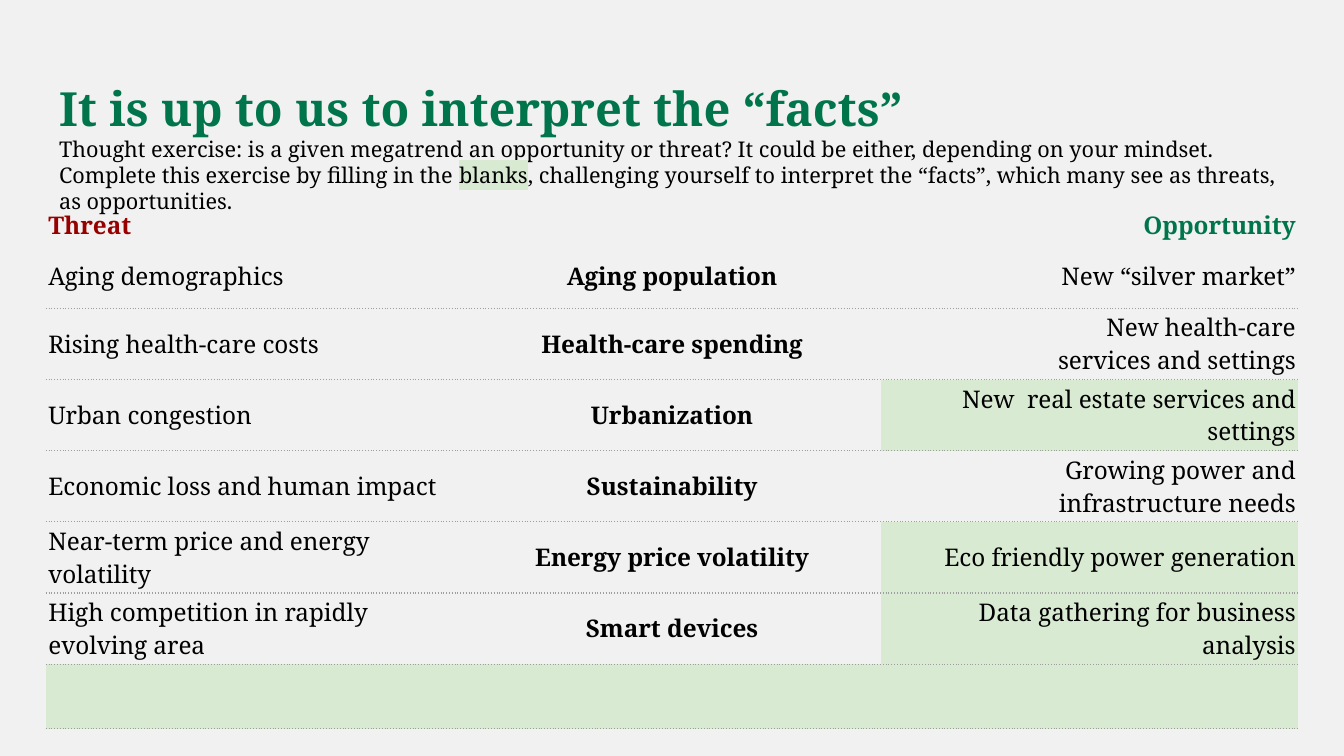
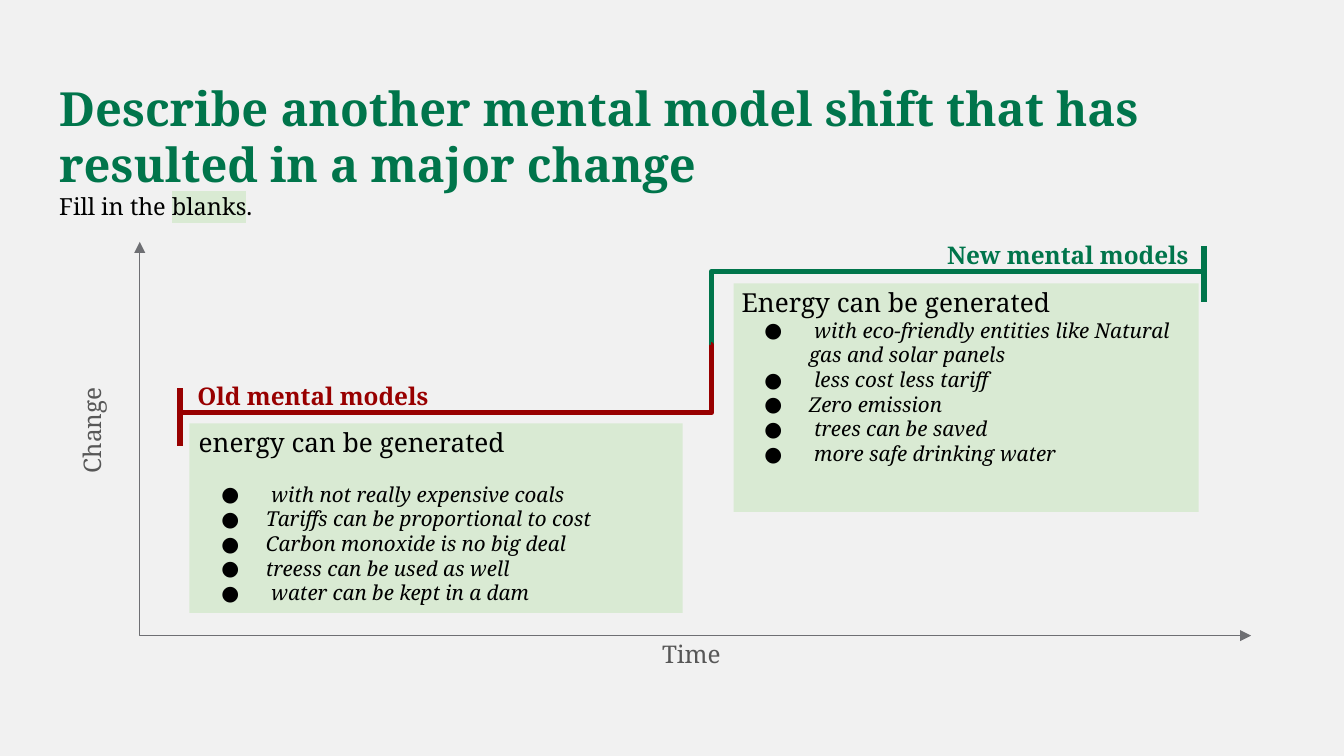
from lxml import etree
from pptx import Presentation
from pptx.dml.color import RGBColor
from pptx.enum.shapes import MSO_CONNECTOR, MSO_SHAPE
from pptx.enum.text import MSO_ANCHOR, PP_ALIGN
from pptx.oxml.ns import qn
from pptx.util import Inches, Pt

LEFT, CENTER, RIGHT = PP_ALIGN.LEFT, PP_ALIGN.CENTER, PP_ALIGN.RIGHT
TOP, MIDDLE = MSO_ANCHOR.TOP, MSO_ANCHOR.MIDDLE
STRAIGHT, ELBOW = MSO_CONNECTOR.STRAIGHT, MSO_CONNECTOR.ELBOW
RECTANGLE = MSO_SHAPE.RECTANGLE

FONT = "Noto Serif"
COLORS = {
    "background": "F1F1F1",
    "opportunity": "00754B",
    "threat": "980000",
    "blank": "D9EAD3",
    "text": "000000",
    "axis": "6E6F73",
    "axis_label": "575757",
    "rule": "9E9E9E",
}
RGB = {role: RGBColor.from_string(value) for role, value in COLORS.items()}
LABEL_SPACING = 0.96


def add_xml(parent, tag, **attributes):
    """Append a DrawingML child to parent and return it."""
    return etree.SubElement(parent, qn("a:" + tag), attributes)


def write(paragraph, parts, size, color="text", spacing=1.0, align=LEFT, **style):
    """Fill a paragraph with runs; parts are (text, is_highlighted) pairs."""
    paragraph.alignment = align
    paragraph.line_spacing = spacing
    paragraph.space_before = Pt(0)
    font_values = {"name": FONT, "size": Pt(size), "bold": False, **style}
    for text, highlighted in parts:
        run = paragraph.add_run()
        run.text = text
        run.font.color.rgb = RGB[color]
        if highlighted:
            highlight = add_xml(run.font._element, "highlight")
            add_xml(highlight, "srgbClr", val=COLORS["blank"])
        for attribute, value in font_values.items():
            setattr(run.font, attribute, value)


prs = Presentation()
prs.slide_width, prs.slide_height = Inches(10), Inches(10 * 9 / 16)
master_fill = prs.slide_master.background.fill
master_fill.solid()
master_fill.fore_color.rgb = RGB["background"]

# Shared heading: a title with an instruction beneath it
HEADINGS = [
    ("It is up to us to interpret the “facts”", 11.6, [
        ("Thought exercise: is a given megatrend an opportunity or threat? It could be "
         "either, depending on your mindset. Complete this exercise by filling in the ", False),
        ("blanks", True),
        (", challenging yourself to interpret the “facts”, which many see as threats, "
         "as opportunities.", False),
    ]),
    ("Describe another mental model shift that has resulted in a major change", 12.6, [
        ("Fill in the ", False), ("blanks", True), (".", False),
    ]),
]
slides = []
for heading, instruction_size, instruction in HEADINGS:
    slide = prs.slides.add_slide(prs.slide_layouts[5])
    slides.append(slide)
    title = slide.shapes.title
    title.left, title.top = Inches(0.34), Inches(0.49)
    title.width, title.height = Inches(9.32), Inches(0.63)
    frame = title.text_frame
    frame.word_wrap, frame.vertical_anchor = True, TOP
    frame.margin_left = frame.margin_right = Inches(0.1)
    frame.margin_top = frame.margin_bottom = Inches(0.1)
    write(frame.paragraphs[0], [(heading, False)], 25.2, "opportunity", bold=True)
    write(frame.add_paragraph(), instruction, instruction_size)
facts_slide, shift_slide = slides

# Slide 1: megatrends as threat or opportunity
TRENDS = [
    ("Threat", "", "Opportunity"),
    ("Aging demographics", "Aging population", "New “silver market”"),
    ("Rising health-care costs", "Health-care spending",
     "New health-care\nservices and settings"),
    ("Urban congestion", "Urbanization", "New  real estate services and settings"),
    ("Economic loss and human impact", "Sustainability",
     "Growing power and\ninfrastructure needs"),
    ("Near-term price and energy volatility", "Energy price volatility",
     "Eco friendly power generation"),
    ("High competition in rapidly evolving area", "Smart devices",
     "Data gathering for business analysis"),
    ("", "", ""),
]
LAST_ROW = len(TRENDS) - 1
BLANK_OPPORTUNITIES = (3, 5, 6)
ALIGNMENTS = (LEFT, CENTER, RIGHT)
HEADER_COLORS = ("threat", "text", "opportunity")

trends = facts_slide.shapes.add_table(
    len(TRENDS), 3, Inches(0.34), Inches(1.53), Inches(9.32), Inches(3.66)).table
trends.first_row = trends.horz_banding = False
for column in trends.columns:
    column.width = Inches(9.32 / 3)
for row_index, row_texts in enumerate(TRENDS):
    is_header = row_index == 0
    trends.rows[row_index].height = Inches(0.27 if is_header else 0.48)
    for column_index, text in enumerate(row_texts):
        cell = trends.cell(row_index, column_index)
        cell.vertical_anchor = MIDDLE
        cell.margin_left = cell.margin_right = Inches(0.02)
        cell.margin_top = cell.margin_bottom = Inches(0.02)

        ruled = {"lnL": False, "lnR": False, "lnT": row_index > 1, "lnB": not is_header}
        for side, has_rule in ruled.items():
            border = add_xml(cell._tc.get_or_add_tcPr(), side, w=str(Pt(0.75)))
            if has_rule:
                add_xml(add_xml(border, "solidFill"), "srgbClr", val=COLORS["rule"])
                add_xml(border, "prstDash", val="dot")
            else:
                add_xml(border, "noFill")

        if row_index == LAST_ROW or (column_index == 2 and row_index in BLANK_OPPORTUNITIES):
            cell.fill.solid()
            cell.fill.fore_color.rgb = RGB["blank"]
        else:
            cell.fill.background()

        if not text:
            add_xml(cell.text_frame.paragraphs[0]._p, "endParaRPr", sz="1300")
            continue
        for line_index, line in enumerate(text.split("\n")):
            paragraph = (cell.text_frame.add_paragraph() if line_index
                         else cell.text_frame.paragraphs[0])
            write(paragraph, [(line, False)], 13,
                  HEADER_COLORS[column_index] if is_header else "text",
                  align=ALIGNMENTS[column_index], bold=is_header or column_index == 1)

# Slide 2: the step from old to new mental models
shapes = shift_slide.shapes
for box in ((1.41, 3.15, 3.67, 1.41), (5.46, 2.11, 3.46, 1.7)):
    panel = shapes.add_shape(RECTANGLE, *map(Inches, box))
    panel.shadow.inherit = False
    panel.fill.solid()
    panel.fill.fore_color.rgb = RGB["blank"]
    panel.line.fill.background()

axes_path = shapes.build_freeform(Inches(1.04), Inches(1.8))
axes_path.add_line_segments(
    [(Inches(1.04), Inches(4.73)), (Inches(9.31), Inches(4.73))], close=False)
axes = axes_path.convert_to_shape()
axes.shadow.inherit = False
axes.fill.background()
axes.line.color.rgb = RGB["axis"]
axes.line.width = Pt(0.75)
for arrow_end in ("headEnd", "tailEnd"):
    add_xml(axes.line._get_or_add_ln(), arrow_end, type="triangle")

# kind, start and end, colour, bend position in 1/100000 of the width
STEPS = [
    (STRAIGHT, (8.96, 1.83, 8.96, 2.25), "opportunity", None),
    (STRAIGHT, (1.34, 2.89, 1.34, 3.32), "threat", None),
    (ELBOW, (5.29, 2.63, 8.96, 2.02), "opportunity", 100),
    (ELBOW, (1.36, 3.07, 5.29, 2.57), "threat", 100100),
]
for kind, ends, color, bend in STEPS:
    step = shapes.add_connector(kind, *map(Inches, ends))
    step.line.color.rgb = RGB[color]
    step.line.width = Pt(3)
    properties = step._element.spPr
    add_xml(properties, "effectLst")
    if bend is not None:
        adjustments = properties.find(qn("a:prstGeom")).find(qn("a:avLst"))
        add_xml(adjustments, "gd", name="adj1", fmla=f"val {bend}")

# text, box, colour, alignment, rotation, bold, anchor, side and top margins
LABELS = [
    ("New mental models", (5.36, 1.75, 3.58, 0.24), "opportunity", RIGHT, 0, True, TOP, 0.1, 0.05),
    ("Change", (0.27, 3.2, 0.84, 0.21), "axis_label", RIGHT, 270, False, MIDDLE, 0, 0),
    ("Time", (4.64, 4.77, 0.72, 0.21), "axis_label", RIGHT, 0, False, MIDDLE, 0, 0),
    ("Old mental models", (1.37, 2.8, 3.83, 0.37), "threat", LEFT, 0, True, TOP, 0.1, 0.05),
]
for text, box, color, align, rotation, bold, anchor, side, top in LABELS:
    label = shapes.add_textbox(*map(Inches, box))
    label.rotation = rotation
    frame = label.text_frame
    frame.word_wrap, frame.vertical_anchor = True, anchor
    frame.margin_left = frame.margin_right = Inches(side)
    frame.margin_top = frame.margin_bottom = Inches(top)
    write(frame.paragraphs[0], [(text, False)], 13, color, LABEL_SPACING, align, bold=bold)

# box, lead-in, points gap below the lead-in, bullets
MODELS = [
    ((1.38, 3.07, 3.5, 1.73), "energy can be generated", 13, [
        " with not really expensive coals",
        "Tariffs can be proportional to cost",
        "Carbon monoxide is no big deal",
        "treess can be used as well",
        " water can be kept in a dam",
    ]),
    ((5.42, 2.03, 3.5, 1.55), "Energy can be generated", 0, [
        " with eco-friendly entities like Natural gas and solar panels",
        " less cost less tariff",
        "Zero emission",
        " trees can be saved",
        " more safe drinking water",
    ]),
]
for box, lead_in, gap, beliefs in MODELS:
    frame = shapes.add_textbox(*map(Inches, box)).text_frame
    frame.word_wrap = True
    frame.margin_left = frame.margin_right = Inches(0.1)
    frame.margin_top = frame.margin_bottom = Inches(0.1)
    write(frame.paragraphs[0], [(lead_in, False)], 14)
    for index, belief in enumerate(beliefs):
        paragraph = frame.add_paragraph()
        write(paragraph, [(belief, False)], 11, italic=True)
        paragraph.space_before = Pt(0 if index else gap)
        layout = paragraph._p.get_or_add_pPr()
        layout.set("marL", str(Inches(0.5)))
        layout.set("indent", str(Inches(-0.33)))
        add_xml(add_xml(layout, "buClr"), "srgbClr", val=COLORS["text"])
        add_xml(layout, "buFont", typeface=FONT)
        add_xml(layout, "buChar", char="●")

prs.save("out.pptx")
